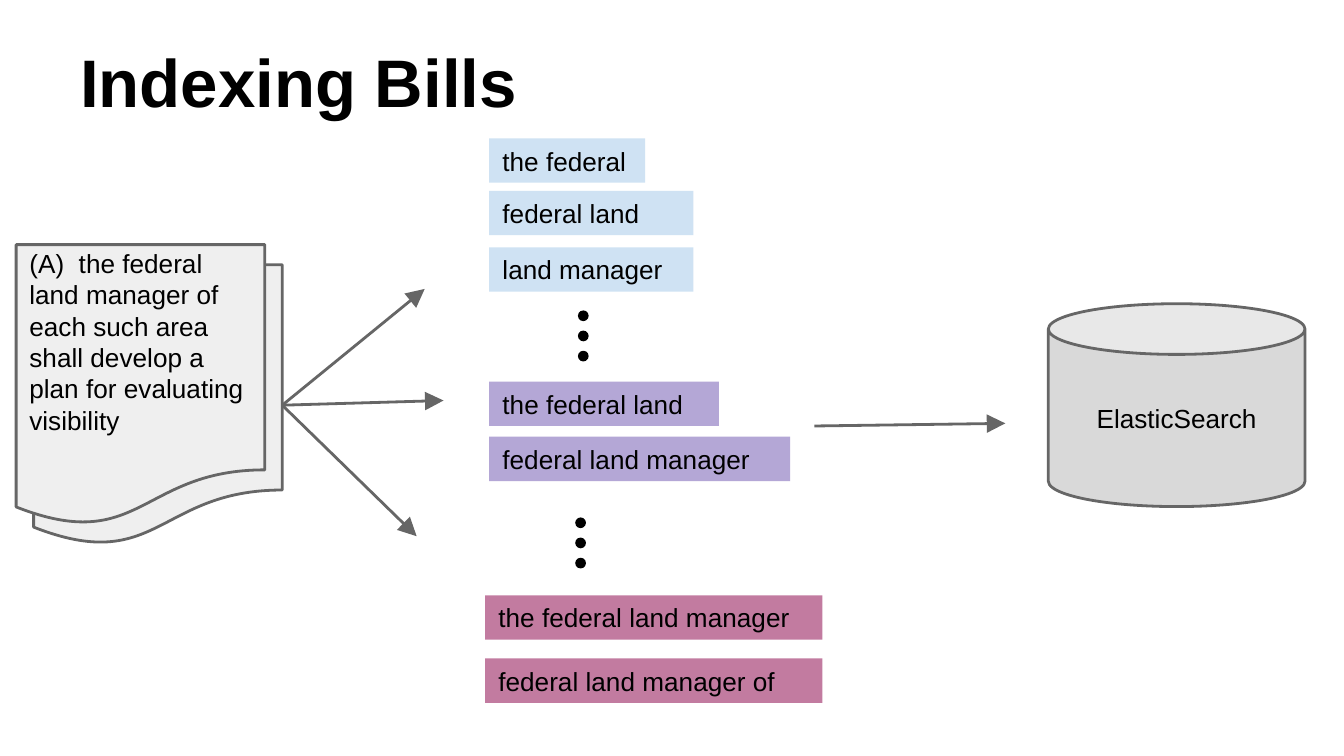
from pptx import Presentation
from pptx.dml.color import RGBColor
from pptx.enum.shapes import MSO_CONNECTOR as CONN, MSO_SHAPE as SHAPE
from pptx.enum.text import MSO_ANCHOR as ANCHOR, PP_ALIGN as ALIGN
from pptx.oxml.ns import qn
from pptx.util import Inches, Pt
from lxml import etree

COLORS = {
    "text": "000000", "line": "666666", "page": "EFEFEF", "can": "D9D9D9",
    "two": "CFE2F3", "three": "B4A7D6", "four": "C27BA0",
}


def rgb(name):
    """Return the named colour."""
    return RGBColor.from_string(COLORS[name])


def add_text(sp, text, size=14, bold=False, align=ALIGN.LEFT, anchor=ANCHOR.MIDDLE, top=0.1):
    """Write one run of text into a shape."""
    tf = sp.text_frame
    tf.word_wrap = True
    tf.vertical_anchor = anchor
    tf.margin_left = tf.margin_right = tf.margin_bottom = Inches(0.1)
    tf.margin_top = Inches(top)
    p = tf.paragraphs[0]
    p.alignment = align
    r = p.add_run()
    r.text = text
    r.font.name, r.font.size, r.font.bold = "Arial", Pt(size), bold
    r.font.color.rgb = rgb("text")


def add_box(s, kind, x, y, w, h, fill, outlined=False):
    """Add a flat filled shape."""
    sp = s.shapes.add_shape(kind, Inches(x), Inches(y), Inches(w), Inches(h))
    sp.shadow.inherit = False
    sp.fill.solid()
    sp.fill.fore_color.rgb = rgb(fill)
    if outlined:
        sp.line.color.rgb = rgb("line")
        sp.line.width = Pt(1.5)
    else:
        sp.line.fill.background()
    return sp


def add_arrow(s, start, end, source=None):
    """Add an arrow, joined to the right side of its source if given."""
    c = s.shapes.add_connector(CONN.STRAIGHT, *map(Inches, start + end))
    if source is not None:
        c.begin_connect(source, 3)
    c.line.color.rgb = rgb("line")
    c.line.width = Pt(1.5)
    spPr = c._element.spPr
    etree.SubElement(spPr.find(qn("a:ln")), qn("a:tailEnd"), type="triangle", w="lg", len="lg")
    etree.SubElement(spPr, qn("a:effectLst"))


def add_title(s, x, y, w, h):
    """Add the slide title."""
    sp = s.shapes.add_textbox(Inches(x), Inches(y), Inches(w), Inches(h))
    add_text(sp, "Indexing Bills", 36, True, anchor=ANCHOR.BOTTOM)


def add_bill(s, x, y, w, h):
    """Add the stacked bill pages and return the back page."""
    back = add_box(s, SHAPE.FLOWCHART_DOCUMENT, x + 0.13, y + 0.15, w, h, "page", True)
    front = add_box(s, SHAPE.FLOWCHART_DOCUMENT, x, y, w, h, "page", True)
    add_text(front, "(A)  the federal land manager of each such area shall develop "
             "a plan for evaluating visibility", anchor=ANCHOR.TOP, top=0.02)
    return back


def add_phrases(s, x, y, fill, phrases):
    """Add a group of phrase bars, each given as offset, width and text."""
    for dy, w, text in phrases:
        add_text(add_box(s, SHAPE.RECTANGLE, x, y + dy, w, 0.33, fill), text)


def add_dots(s, x, y):
    """Add a vertical ellipsis of three dots."""
    for i in range(3):
        add_box(s, SHAPE.OVAL, x, y + 0.15 * i, 0.08, 0.08, "text")


def add_database(s, x, y, w, h):
    """Add the search index cylinder."""
    can = add_box(s, SHAPE.CAN, x, y, w, h, "can", True)
    can.adjustments[0] = 0.25
    add_text(can, "ElasticSearch", align=ALIGN.CENTER)


def main():
    """Build and save the slide."""
    prs = Presentation()
    prs.slide_width = Inches(10)
    prs.slide_height = prs.slide_width * 9 // 16
    s = prs.slides.add_slide(prs.slide_layouts[6])
    add_title(s, 0.5, 0.06, 9, 0.94)
    bill = add_bill(s, 0.12, 1.82, 1.85, 2.09)
    add_phrases(s, 3.64, 1.03, "two", [
        (0, 1.16, "the federal"), (0.39, 1.52, "federal land"), (0.81, 1.52, "land manager")])
    add_dots(s, 4.3, 2.31)
    add_phrases(s, 3.64, 2.84, "three", [
        (0, 1.71, "the federal land"), (0.41, 2.24, "federal land manager")])
    add_dots(s, 4.28, 3.85)
    add_phrases(s, 3.61, 4.43, "four", [
        (0, 2.51, "the federal land manager"), (0.47, 2.51, "federal land manager of")])
    for end in [(3.16, 2.15), (3.3, 2.98), (3.1, 3.99)]:
        add_arrow(s, (2.11, 3.01), end, bill)
    add_database(s, 7.8, 2.26, 1.91, 1.51)
    add_arrow(s, (6.06, 3.17), (7.48, 3.15))
    prs.save("out.pptx")


if __name__ == "__main__":
    main()
